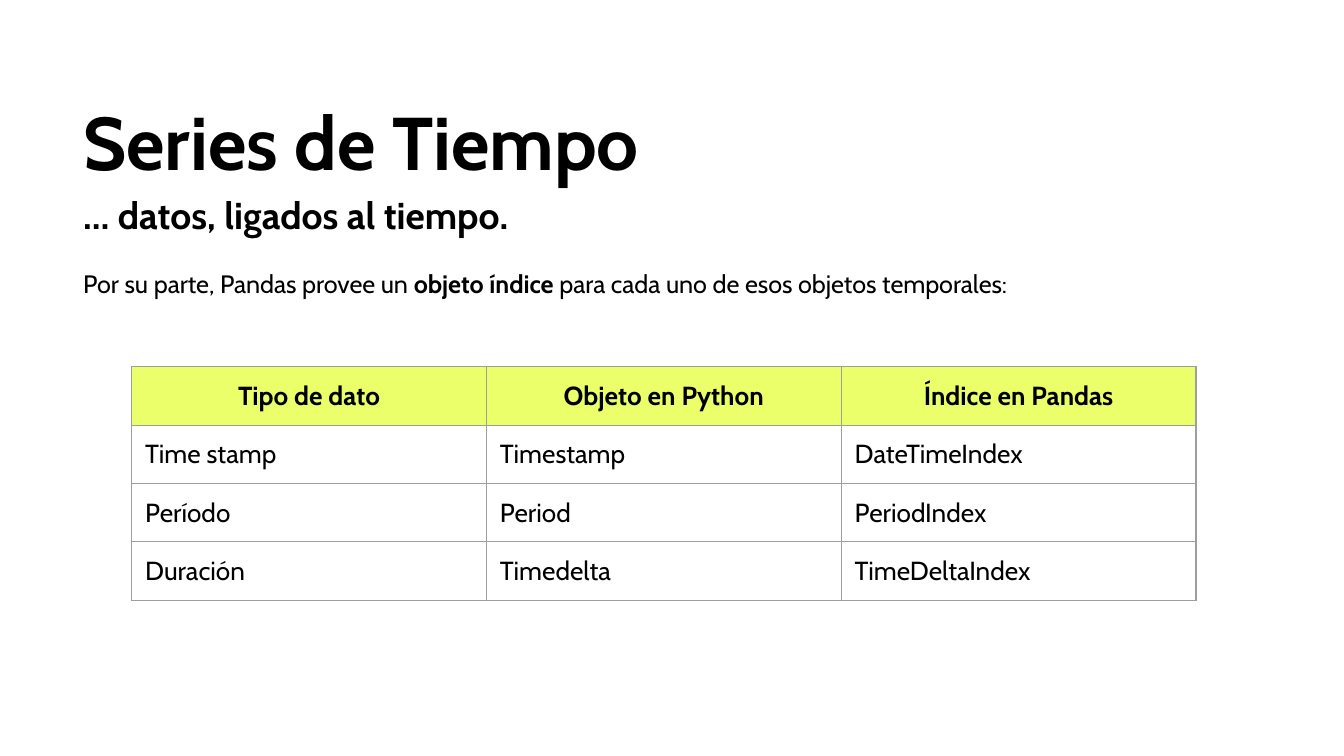
"""Builds the time series slide with its table of index objects."""
import pptx
import pptx.dml.color
import pptx.enum.text
import pptx.oxml
import pptx.oxml.ns
import pptx.util

Inches = pptx.util.Inches
Align = pptx.enum.text.PP_ALIGN


def color(code):
    return pptx.dml.color.RGBColor.from_string(code)


def write(para, text, size, bold=False):
    run = para.add_run()
    run.text = text
    look = {"name": "Cabin", "size": pptx.util.Pt(size), "bold": bold}
    for key, value in look.items():
        setattr(run.font, key, value)
    run.font.color.rgb = color("000000")


deck = pptx.Presentation()
deck.slide_width = Inches(10)
deck.slide_height = Inches(10 * 9 / 16)
slide = deck.slides.add_slide(deck.slide_layouts[6])

pads = {f"margin_{side}": Inches(0.1) for side in ("left", "top", "right", "bottom")}
boxes = [
    ((0.52, 1.86, 9.05, 0.95), [[
        ("Por su parte, Pandas provee un ", 13.5, False),
        ("objeto índice ", 13.5, True),
        ("para cada uno de esos objetos temporales:", 13.5, False),
    ]]),
    ((0.52, 0.51, 7.62, 1.08), [
        [("Series de Tiempo", 40, True)],
        [("… datos, ligados al tiempo.", 20, True)],
    ]),
]
for place, lines in boxes:
    frame = slide.shapes.add_textbox(*map(Inches, place)).text_frame
    for key, value in {"word_wrap": True, **pads}.items():
        setattr(frame, key, value)
    para = frame.paragraphs[0]
    para.line_spacing = 1.15
    for index, line in enumerate(lines):
        if index:
            para.add_line_break()
        for text, size, bold in line:
            write(para, text, size, bold)

rows = [
    ("Tipo de dato", "Objeto en Python", "Índice en Pandas"),
    ("Time stamp", "Timestamp", "DateTimeIndex"),
    ("Período", "Period", "PeriodIndex"),
    ("Duración", "Timedelta", "TimeDeltaIndex"),
]
width, height = 2.64, 0.42
table = slide.shapes.add_table(
    len(rows), len(rows[0]), Inches(0.98), Inches(2.73),
    Inches(width * len(rows[0])), Inches(height * len(rows)),
).table
table.first_row = table.horz_banding = False
for col in table.columns:
    col.width = Inches(width)
for row in table.rows:
    row.height = Inches(height)

space = pptx.oxml.ns.nsdecls("a")
for top, row in enumerate(rows):
    head = top == 0
    for left, text in enumerate(row):
        cell = table.cell(top, left)
        for key, value in pads.items():
            setattr(cell, key, value)
        props = cell._tc.get_or_add_tcPr()
        for side in "LRTB":
            props.append(pptx.oxml.parse_xml(
                f'<a:ln{side} {space} w="9525"><a:solidFill>'
                f'<a:srgbClr val="9E9E9E"/></a:solidFill></a:ln{side}>'
            ))
        if head:
            cell.fill.solid()
            cell.fill.fore_color.rgb = color("EAFF6A")
        else:
            cell.fill.background()
        para = cell.text_frame.paragraphs[0]
        para.alignment = Align.CENTER if head else Align.LEFT
        write(para, text, 14, head)

deck.save("out.pptx")
